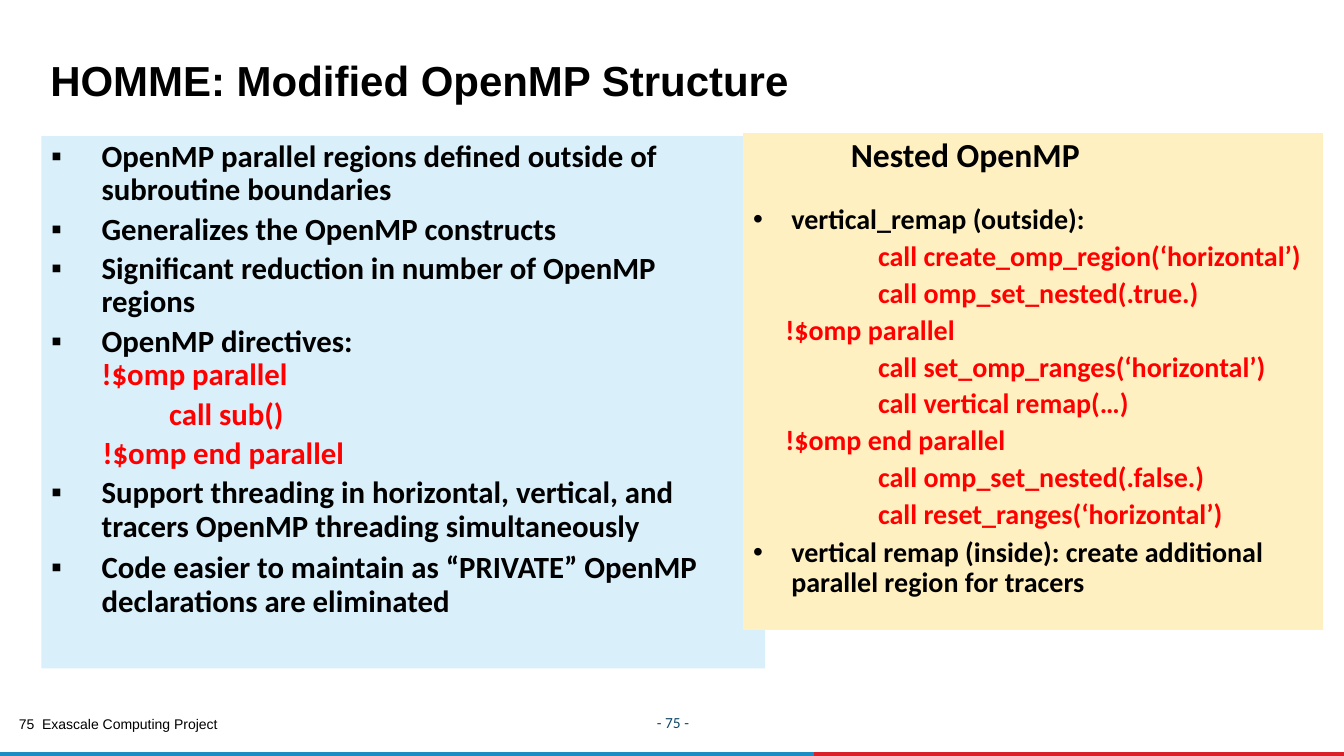
import pptx
import pptx.util
import pptx.dml.color
import pptx.enum.shapes
import pptx.enum.text
import pptx.oxml.ns
from lxml import etree

Inches, Pt = pptx.util.Inches, pptx.util.Pt
ALIGN, ANCHOR = pptx.enum.text.PP_ALIGN, pptx.enum.text.MSO_ANCHOR
COLORS = {
    "text": "000000", "code": "FF0000", "page": "114766",
    "design": "D9EFFA", "nested": "FFF0C2",
    "red_bar": "DA1F28", "blue_bar": "1B8DC3",
}


def rgb(name):
    return pptx.dml.color.RGBColor.from_string(COLORS[name])


def assign(target, values):
    for attribute, value in values.items():
        setattr(target, attribute, value)


class SlideBuilder:
    def __init__(self, slide):
        self.slide = slide
        self.body = {"name": "Calibri", "bold": True}
        self.footer = {"name": "Arial", "size": Pt(10)}

    def panel(self, box, fill, outlined=False):
        shape = self.slide.shapes.add_shape(
            pptx.enum.shapes.MSO_SHAPE.RECTANGLE, *map(Inches, box))
        shape.shadow.inherit = False
        shape.fill.solid()
        shape.fill.fore_color.rgb = rgb(fill)
        if outlined:
            shape.line.color.rgb = rgb(fill)
            shape.line.width = Pt(0.75)
        else:
            shape.line.fill.background()
        self.frame(shape, ANCHOR.TOP)
        return shape.text_frame

    def frame(self, shape, anchor, margins=(0.1, 0.05)):
        side, edge = map(Inches, margins)
        assign(shape.text_frame, {
            "word_wrap": True, "vertical_anchor": anchor,
            "margin_left": side, "margin_right": side,
            "margin_top": edge, "margin_bottom": edge})

    def label(self, box, text, font, color="text", align=ALIGN.LEFT,
              anchor=ANCHOR.MIDDLE, margins=(0.1, 0.05), spacing=1.0):
        shape = self.slide.shapes.add_textbox(*map(Inches, box))
        self.frame(shape, anchor, margins)
        paragraph = shape.text_frame.paragraphs[0]
        assign(paragraph, {"alignment": align, "line_spacing": spacing})
        self.run(paragraph, text, font, color)

    def run(self, paragraph, text, font, color):
        run = paragraph.add_run()
        run.text = text
        assign(run.font, font)
        run.font.color.rgb = rgb(color)

    def bullet(self, paragraph, symbol):
        properties = paragraph._p.get_or_add_pPr()
        qn = pptx.oxml.ns.qn
        bullet_color = etree.SubElement(properties, qn("a:buClr"))
        etree.SubElement(bullet_color, qn("a:srgbClr"), val=COLORS["text"])
        etree.SubElement(properties, qn("a:buFont"), typeface="Arial")
        etree.SubElement(properties, qn("a:buChar"), char=symbol)

    def outline(self, text_frame, size, hang, symbol, items):
        """Write (text, indent, space before); an indent of None means a bullet."""
        for index, (text, indent, before) in enumerate(items):
            paragraph = (text_frame.add_paragraph() if index
                         else text_frame.paragraphs[0])
            assign(paragraph, {"alignment": ALIGN.LEFT, "line_spacing": 0.9})
            if index:
                paragraph.space_before = Pt(before)
            properties = paragraph._p.get_or_add_pPr()
            bulleted = indent is None
            properties.set("marL", str(Inches(hang if bulleted else indent)))
            properties.set("indent", str(Inches(-hang if bulleted else 0)))
            if bulleted:
                self.bullet(paragraph, symbol)
            font = {**self.body, "size": Pt(size if index or bulleted else 24)}
            for number, line in enumerate(text.split("\n")):
                if number:
                    paragraph.add_line_break()
                is_code = line.startswith(("!$omp", "call "))
                self.run(paragraph, line, font, "code" if is_code else "text")


def main():
    deck = pptx.Presentation()
    assign(deck, {"slide_width": Inches(13.33), "slide_height": Inches(7.5)})
    builder = SlideBuilder(deck.slides.add_slide(deck.slide_layouts[6]))

    builder.label((0.03, 7.12, 0.31, 0.17), "75", builder.footer,
                  align=ALIGN.RIGHT, anchor=ANCHOR.TOP, margins=(0, 0),
                  spacing=0.9)
    builder.label((0.32, 7.08, 4.22, 0.2), "Exascale Computing Project",
                  builder.footer)
    builder.panel((8.06, 7.47, 5.3, 0.03), "red_bar", outlined=True)
    builder.panel((-0.01, 7.47, 8.08, 0.03), "blue_bar", outlined=True)
    builder.label((0.4, 0.2, 9.42, 0.84), "HOMME: Modified OpenMP Structure",
                  {"name": "Arial", "size": Pt(30), "bold": True},
                  anchor=ANCHOR.BOTTOM, margins=(0.1, 0), spacing=0.85)

    design = builder.panel((0.41, 1.35, 7.18, 5.28), "design")
    builder.outline(design, 22, 0.5, "▪", [
        ("OpenMP parallel regions defined outside of subroutine boundaries", None, 0),
        ("Generalizes the OpenMP constructs", None, 4.4),
        ("Significant reduction in number of OpenMP regions", None, 4.4),
        ("OpenMP directives:\n!$omp parallel", None, 4.4),
        ("call sub()", 1.17, 4.4),
        ("!$omp end parallel", 0.51, 4.4),
        ("Support threading in horizontal, vertical, and tracers "
         "OpenMP threading simultaneously", None, 4.4),
        ("Code easier to maintain as “PRIVATE” OpenMP declarations "
         "are eliminated", None, 6),
    ])

    builder.label((6.17, 6.97, 1.01, 0.4), "- 75 -",
                  {"name": "Calibri", "size": Pt(11)}, "page", ALIGN.CENTER)

    directive, call = 0.32, 1.24
    nested = builder.panel((7.37, 1.32, 5.75, 4.93), "nested")
    builder.outline(nested, 20, 0.38, "•", [
        ("Nested OpenMP", 0.97, 0),
        ("vertical_remap (outside):", None, 22),
        ("call create_omp_region(‘horizontal’)", call, 4.8),
        ("call omp_set_nested(.true.)", call, 4.8),
        ("!$omp parallel", directive, 4.8),
        ("call set_omp_ranges(‘horizontal’)", call, 4.8),
        ("call vertical remap(…)", call, 4.8),
        ("!$omp end parallel", directive, 4.8),
        ("call omp_set_nested(.false.)", call, 4.8),
        ("call reset_ranges(‘horizontal’)", call, 4.8),
        ("vertical remap (inside): create additional parallel region "
         "for tracers", None, 5.2),
    ])
    deck.save("out.pptx")


if __name__ == "__main__":
    main()
